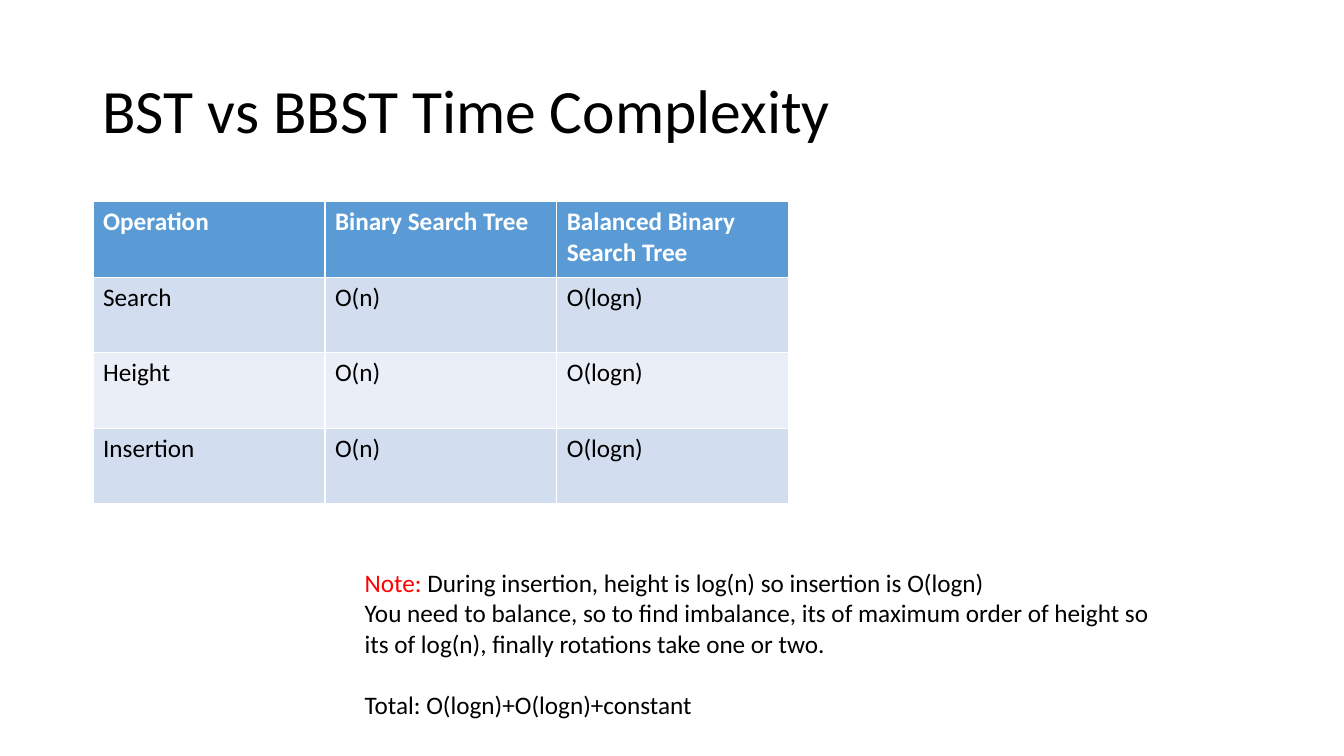
import pptx
import pptx.util
import pptx.dml.color
import pptx.enum.text
from dataclasses import dataclass

Pt = pptx.util.Pt
RGB = pptx.dml.color.RGBColor.from_string


@dataclass(frozen=True)
class Theme:
    font: str = "Calibri"
    title_size: int = 44
    body_size: int = 18
    text: str = "000000"
    white: str = "FFFFFF"
    note: str = "FF0000"
    header: str = "5B9BD5"
    bands: tuple = ("D2DEEF", "EAEFF7")


theme = Theme()


def add_run(p, text, size=theme.body_size, color=theme.text, bold=False):
    r = p.add_run()
    r.text = text
    r.font.name = theme.font
    r.font.size = Pt(size)
    r.font.bold = bold
    r.font.color.rgb = RGB(color)


prs = pptx.Presentation()
prs.slide_width, prs.slide_height = Pt(960), Pt(540)
s = prs.slides.add_slide(prs.slide_layouts[5])

# Title
title = s.shapes.title
title.left, title.top, title.width, title.height = Pt(66), Pt(28.75), Pt(828), Pt(104.4)
tf = title.text_frame
tf.word_wrap = True
tf.vertical_anchor = pptx.enum.text.MSO_ANCHOR.MIDDLE
p = tf.paragraphs[0]
p.alignment = pptx.enum.text.PP_ALIGN.LEFT
p.line_spacing = 0.9
add_run(p, "BST vs BBST Time Complexity", theme.title_size)

# Complexity table; its default style supplies the white borders
rows = [
    ("Operation", "Binary Search Tree", "Balanced Binary Search Tree"),
    ("Search", "O(n)", "O(logn)"),
    ("Height", "O(n)", "O(logn)"),
    ("Insertion", "O(n)", "O(logn)"),
]
table = s.shapes.add_table(4, 3, Pt(66.5), Pt(144), Pt(496.8), Pt(216)).table
for i, row in enumerate(rows):
    is_header = i == 0
    fill = theme.header if is_header else theme.bands[(i - 1) % 2]
    color = theme.white if is_header else theme.text
    for j, text in enumerate(row):
        cell = table.cell(i, j)
        cell.fill.solid()
        cell.fill.fore_color.rgb = RGB(fill)
        add_run(cell.text_frame.paragraphs[0], text, color=color, bold=is_header)

# Note on insertion, with a line of space before the total
note = [
    (0, [("Note:", theme.note),
         (" During insertion, height is log(n) so insertion is O(logn)", theme.text)]),
    (0, [("You need to balance, so to find imbalance, its of maximum order of height so", theme.text)]),
    (0, [("its of log(n), finally rotations take one or two.", theme.text)]),
    (22, [("Total: O(logn)+O(logn)+constant", theme.text)]),
]
tf = s.shapes.add_textbox(Pt(253.4), Pt(401.8), Pt(579), Pt(116)).text_frame
tf.word_wrap = False
tf.auto_size = pptx.enum.text.MSO_AUTO_SIZE.SHAPE_TO_FIT_TEXT
for i, (space, runs) in enumerate(note):
    p = tf.add_paragraph() if i else tf.paragraphs[0]
    if space:
        p.space_before = Pt(space)
    for text, color in runs:
        add_run(p, text, color=color)

prs.save("out.pptx")
